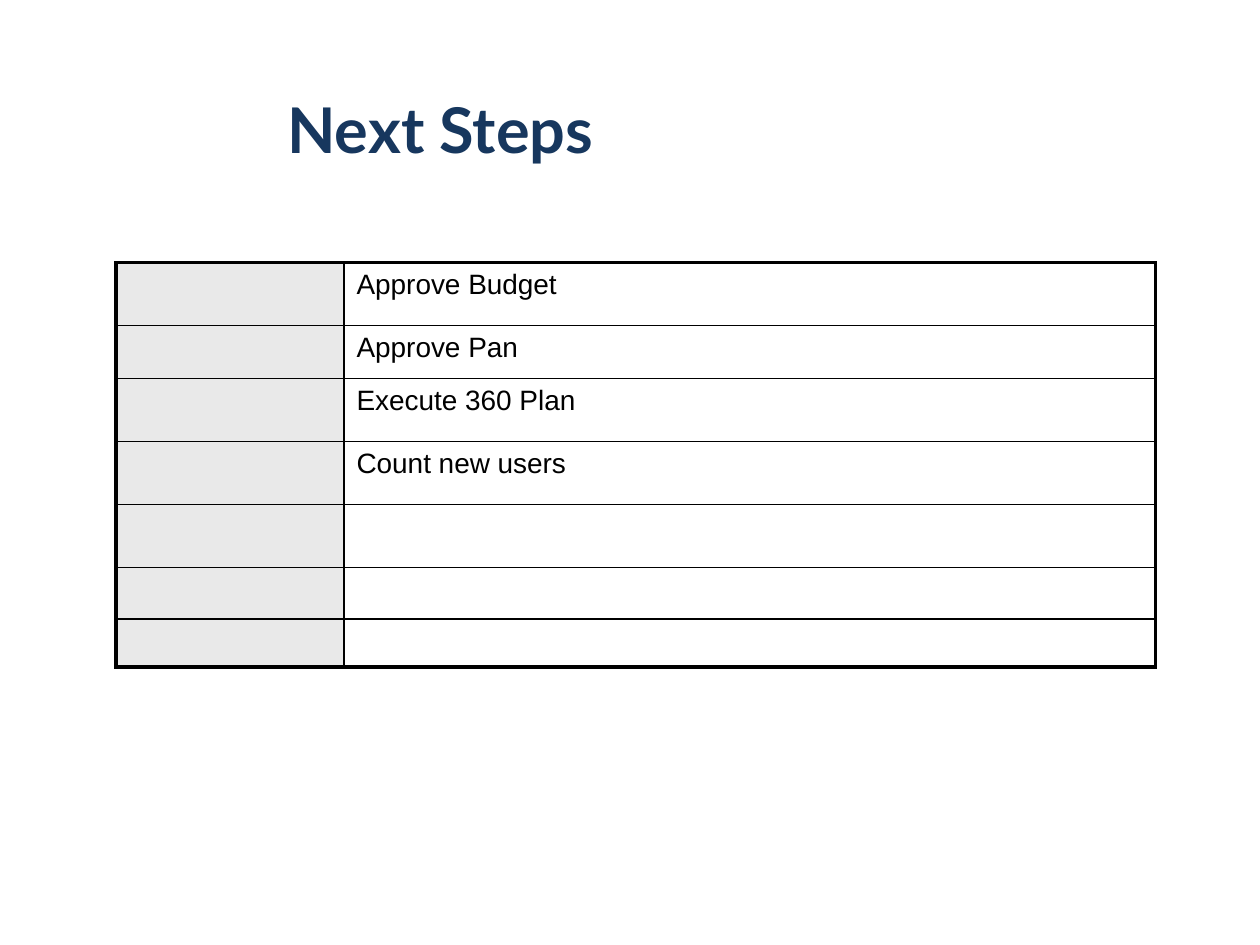
import pptx
import pptx.enum.text
import pptx.util
import pptx.dml.color
import pptx.oxml.ns
from lxml import etree

COLORS = {"title": "17375E", "text": "000000", "border": "000000", "label": "E9E9E9"}
FONTS = {"title": "Lato", "body": "Arial"}
STEPS = ["Approve Budget", "Approve Pan", "Execute 360 Plan", "Count new users", "", "", ""]
COLUMN_WIDTHS = [1.81, 6.44]
ROW_HEIGHTS = [0.5, 0.42, 0.5, 0.5, 0.5, 0.41, 0.38]
TITLE_SIZE, BODY_SIZE = 36, 16
OUTER, INNER = 2.25, 1


class SlideBuilder:
    def __init__(self, deck):
        self.deck = deck
        self.slide = deck.slides.add_slide(deck.slide_layouts[5])

    def place(self, left, top, width, height):
        """Turn shares of the slide's size into lengths."""
        across, down = self.deck.slide_width, self.deck.slide_height
        return int(left * across), int(top * down), int(width * across), int(height * down)

    def add_span(self, para, text, font, size, color, bold=False):
        span = para.add_run()
        span.text = text
        span.font.name = font
        span.font.size = pptx.util.Pt(size)
        span.font.bold = bold
        span.font.color.rgb = pptx.dml.color.RGBColor.from_string(COLORS[color])

    def title(self, text, *area):
        box = self.slide.shapes.title
        box.left, box.top, box.width, box.height = self.place(*area)
        frame = box.text_frame
        frame.auto_size = pptx.enum.text.MSO_AUTO_SIZE.NONE
        frame.vertical_anchor = pptx.enum.text.MSO_ANCHOR.MIDDLE
        para = frame.paragraphs[0]
        para.alignment = pptx.enum.text.PP_ALIGN.CENTER
        self.add_span(para, text, FONTS["title"], TITLE_SIZE, "title", bold=True)

    def border(self, cell, side, points):
        qn = pptx.oxml.ns.qn
        line = etree.SubElement(cell._tc.get_or_add_tcPr(), qn(f"a:ln{side}"),
                                w=str(pptx.util.Pt(points)))
        fill = etree.SubElement(line, qn("a:solidFill"))
        etree.SubElement(fill, qn("a:srgbClr"), val=COLORS["border"])

    def steps_table(self, steps, *area):
        rows, columns = len(steps), len(COLUMN_WIDTHS)
        table = self.slide.shapes.add_table(rows, columns, *self.place(*area)).table
        table.first_row = table.horz_banding = False
        for column, width in zip(table.columns, COLUMN_WIDTHS):
            column.width = pptx.util.Inches(width)
        for row, height in zip(table.rows, ROW_HEIGHTS):
            row.height = pptx.util.Inches(height)

        for r, step in enumerate(steps):
            for c in range(columns):
                cell = table.cell(r, c)
                # Heavy lines run only around the outside
                edges = {"L": c == 0, "R": c == columns - 1, "T": r == 0, "B": r == rows - 1}
                for side, is_outer in edges.items():
                    self.border(cell, side, OUTER if is_outer else INNER)
                # Shaded label column, then the step itself
                para = cell.text_frame.paragraphs[0]
                if c == 0:
                    cell.fill.solid()
                    cell.fill.fore_color.rgb = pptx.dml.color.RGBColor.from_string(COLORS["label"])
                else:
                    cell.fill.background()
                if c == 1 and step:
                    self.add_span(para, step, FONTS["body"], BODY_SIZE, "text")
                else:
                    # Keep blank cells from stretching the short rows
                    etree.SubElement(para._p, pptx.oxml.ns.qn("a:endParaRPr"),
                                     sz=str(BODY_SIZE * 100))


def main():
    deck = pptx.Presentation()
    deck.slide_width = pptx.util.Inches(10)
    deck.slide_height = pptx.util.Inches(7.5)
    page = SlideBuilder(deck)
    page.title("Next Steps", 0.033, 0.044, 0.633, 0.183)
    page.steps_table(STEPS, 0.092, 0.278, 0.825, 0.428)
    deck.save("out.pptx")


if __name__ == "__main__":
    main()
